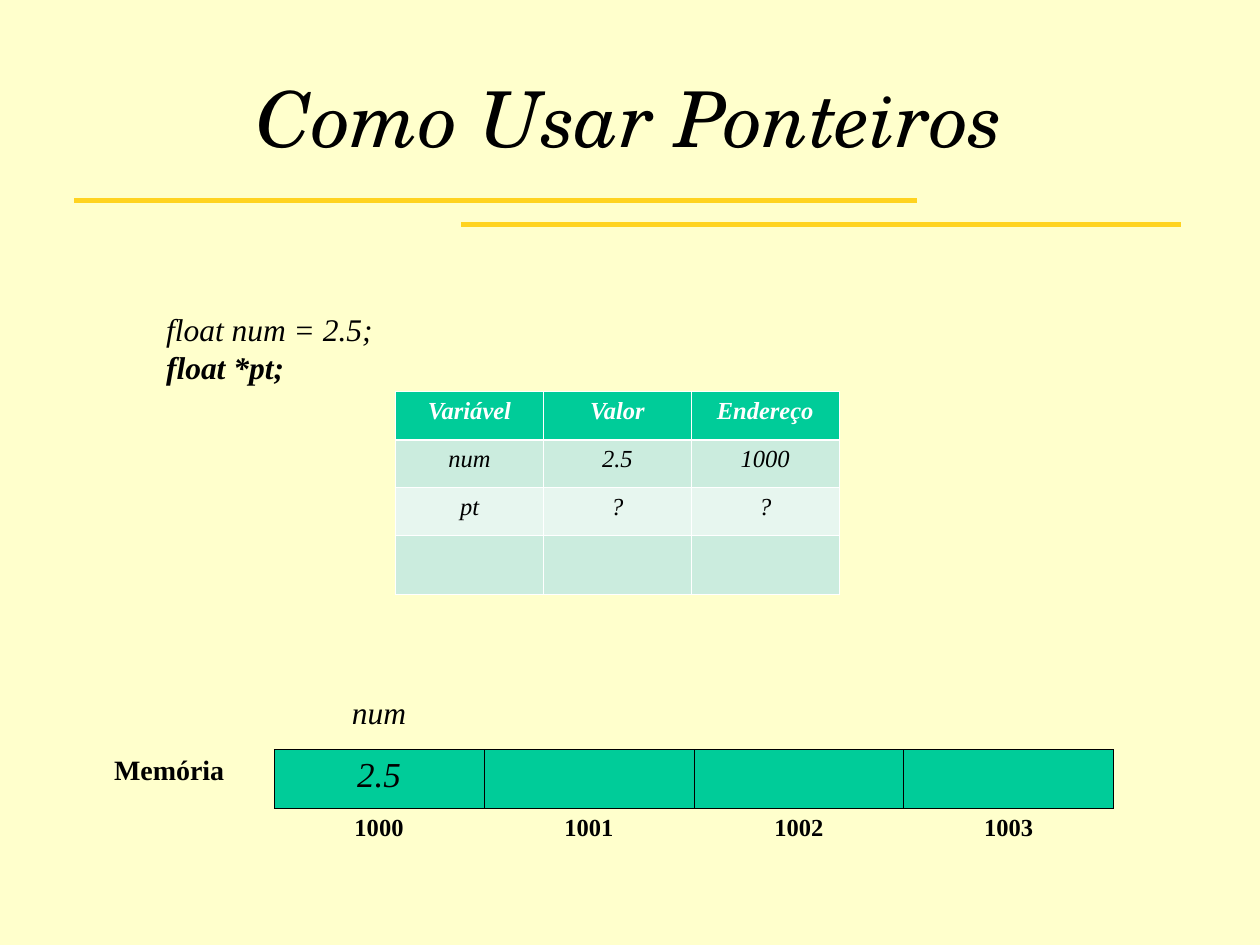
from lxml.etree import SubElement
from pptx import Presentation
from pptx.dml.color import RGBColor
from pptx.enum.shapes import MSO_CONNECTOR as Connector
from pptx.enum.text import MSO_ANCHOR as Anchor, PP_ALIGN as Align
from pptx.oxml.ns import qn
from pptx.util import Inches, Pt

COLORS = {"paper": "FFFFCC", "rule": "FFD320", "ink": "000000", "white": "FFFFFF",
          "green": "00CC99", "band": "CBECDE", "pale": "E7F6EF"}
SERIF, DISPLAY = "Times New Roman", "TeX Gyre Schola"
NO_GRID = "{2D5ABB26-0587-4C30-8999-92F81FD0307C}"
SIDES = ("L", "R", "T", "B")

TITLE = "Como Usar Ponteiros"
RULES = [(0.59, 7.28, 1.59), (3.66, 9.37, 1.78)]
CODE = [("float num = 2.5;", False), ("float *pt;", True)]
VARIABLES = [("Variável", "Valor", "Endereço"),
             ("num", "2.5", "1000"),
             ("pt", "?", "?"),
             ("", "", "")]
VARIABLE_FILLS = ["green", "band", "pale", "band"]
MEMORY = [("", "num", "", "", ""),
          ("Memória", "2.5", "", "", ""),
          ("", "1000", "1001", "1002", "1003")]
MEMORY_SIZES = [18, 20, 14]
LABEL_SIZE = 16


def rgb(name):
    return RGBColor.from_string(COLORS[name])


def write(paragraph, text, size, color="ink", bold=False, italic=True, face=SERIF):
    paragraph.text = text
    font = paragraph.font
    font.name, font.size, font.bold, font.italic = face, Pt(size), bold, italic
    font.color.rgb = rgb(color)


def border(cell, color, widths):
    props = cell._tc.get_or_add_tcPr()
    for side, width in zip(SIDES, widths):
        edge = SubElement(props, qn(f"a:ln{side}"), w=str(Pt(width)))
        SubElement(SubElement(edge, qn("a:solidFill")), qn("a:srgbClr"), val=COLORS[color])


def add_grid(slide, rows, left, top, width, heights):
    frame = slide.shapes.add_table(len(rows), len(rows[0]), Inches(left), Inches(top),
                                   Inches(width), Inches(sum(heights)))
    table = frame.table
    table.first_row = table.horz_banding = False
    table._tbl.tblPr.find(qn("a:tableStyleId")).text = NO_GRID
    for row, height in zip(table.rows, heights):
        row.height = Inches(height)
    return table


def add_text(slide, left, top, width, height, wrap):
    frame = slide.shapes.add_textbox(*map(Inches, (left, top, width, height))).text_frame
    frame.word_wrap = wrap
    return frame


def add_variables(slide):
    table = add_grid(slide, VARIABLES, 3.14, 3.11, 3.52, [0.38, 0.38, 0.38, 0.47])
    for r, (texts, fill) in enumerate(zip(VARIABLES, VARIABLE_FILLS)):
        header = r == 0
        widths = (0.45, 0.45, 1.47 if r == 1 else 0.45, 1.47 if header else 0.45)
        for c, text in enumerate(texts):
            cell = table.cell(r, c)
            border(cell, "white", widths)
            cell.fill.solid()
            cell.fill.fore_color.rgb = rgb(fill)
            paragraph = cell.text_frame.paragraphs[0]
            paragraph.alignment = Align.CENTER
            write(paragraph, text, 14, "white" if header else "ink", bold=header)


def add_memory(slide):
    table = add_grid(slide, MEMORY, 0.51, 5.48, 8.33, [0.47, 0.47, 0.4])
    for r, (texts, size) in enumerate(zip(MEMORY, MEMORY_SIZES)):
        for c, text in enumerate(texts):
            cell = table.cell(r, c)
            if r == 1 and c > 0:
                border(cell, "ink", [0.45] * 4)
                cell.fill.solid()
                cell.fill.fore_color.rgb = rgb("green")
            else:
                cell.fill.background()
            label = c == 0 or r == 2
            paragraph = cell.text_frame.paragraphs[0]
            paragraph.alignment = Align.CENTER
            paragraph.space_before = Pt(8)
            write(paragraph, text, LABEL_SIZE if c == 0 and r == 1 else size,
                  bold=label, italic=not label)


def main():
    deck = Presentation()
    deck.slide_width, deck.slide_height = Inches(10), Inches(7.5)
    slide = deck.slides.add_slide(deck.slide_layouts[6])
    slide.background.fill.solid()
    slide.background.fill.fore_color.rgb = rgb("paper")

    for start, end, y in RULES:
        rule = slide.shapes.add_connector(Connector.STRAIGHT, Inches(start), Inches(y),
                                          Inches(end), Inches(y))
        rule.line.color.rgb = rgb("rule")
        rule.line.width = Pt(2.83)
        SubElement(rule._element.spPr, qn("a:effectLst"))

    title = add_text(slide, 0.5, 0.14, 9, 1.57, True)
    title.vertical_anchor = Anchor.MIDDLE
    title.paragraphs[0].alignment = Align.CENTER
    write(title.paragraphs[0], TITLE, 44, face=DISPLAY)

    add_variables(slide)
    add_memory(slide)

    code = add_text(slide, 1.22, 2.41, 1.84, 1, False)
    for i, (text, bold) in enumerate(CODE):
        write(code.add_paragraph() if i else code.paragraphs[0], text, 18, bold=bold)

    deck.save("out.pptx")


if __name__ == "__main__":
    main()
